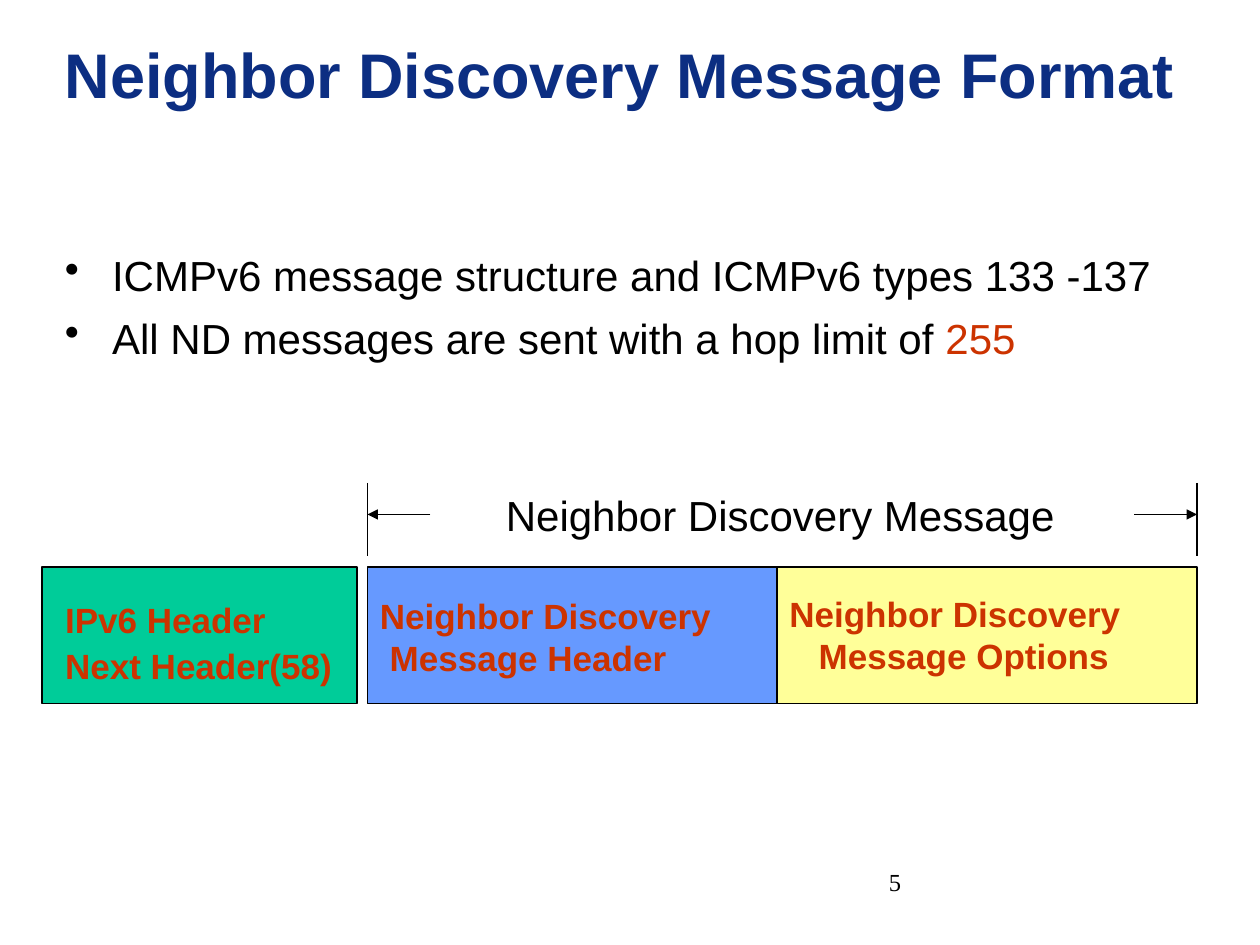
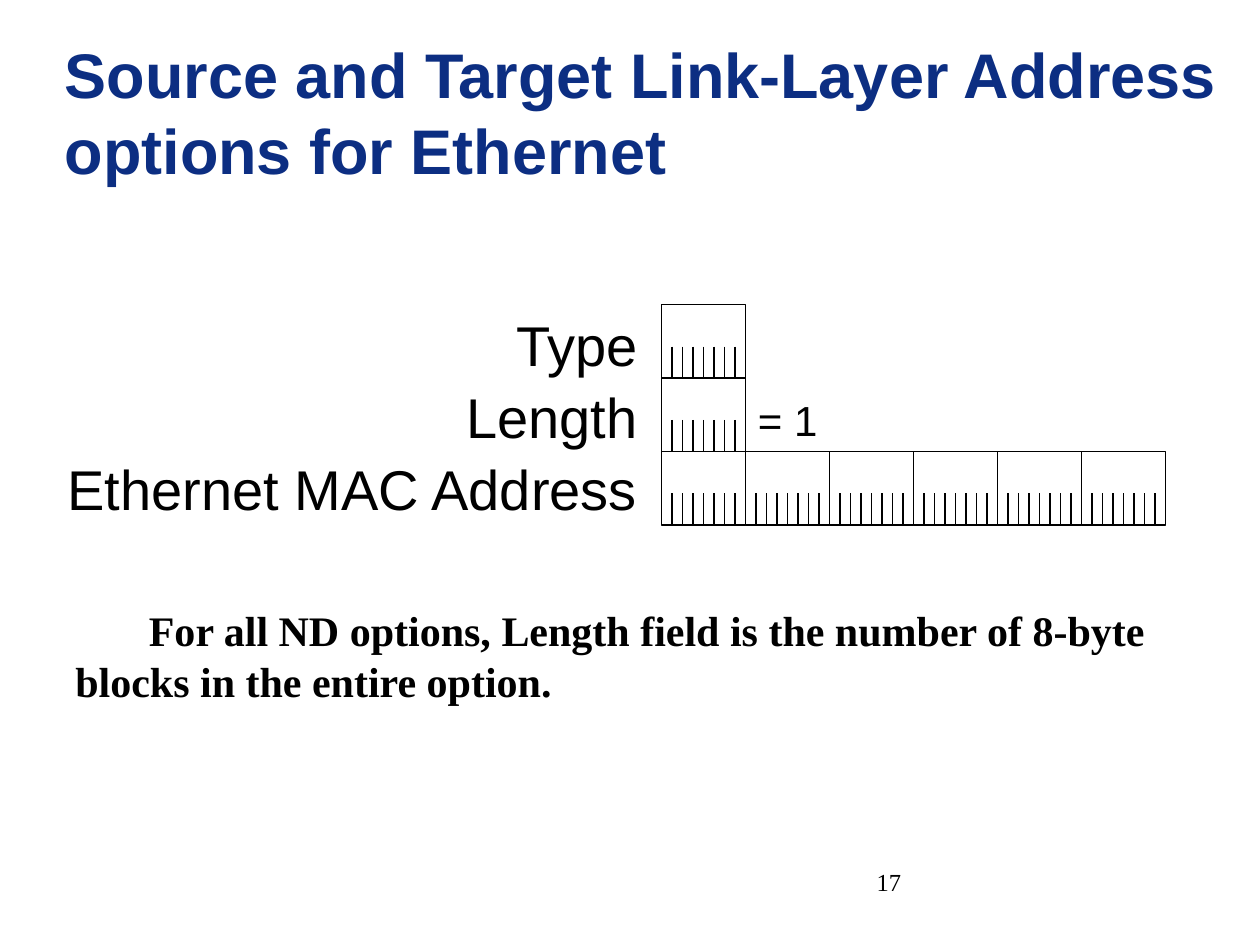
import pptx
import pptx.dml.color
import pptx.enum.shapes
import pptx.enum.text
import pptx.oxml
import pptx.oxml.ns
import pptx.util
from lxml import etree

Pt = pptx.util.Pt
RGB = pptx.dml.color.RGBColor
ALIGN = pptx.enum.text.PP_ALIGN
qn = pptx.oxml.ns.qn

BLACK = RGB(0x00, 0x00, 0x00)
WHITE = RGB(0xFF, 0xFF, 0xFF)
NAVY = RGB(0x0C, 0x2E, 0x82)
RUST = RGB(0xCC, 0x33, 0x00)
GREEN = RGB(0x00, 0xCC, 0x99)
BLUE = RGB(0x66, 0x99, 0xFF)
YELLOW = RGB(0xFF, 0xFF, 0x99)
SANS, SERIF = "Arial", "Times New Roman"
LINE_PITCH = 1.2
THIN = 0.75

FORMAT_TITLE, FORMAT_NUMBER = "Neighbor Discovery Message Format", "5"
FACTS = [
    ["ICMPv6 message structure and ICMPv6 types 133 -137"],
    ["All ND messages are sent with a hop limit of ", "255"],
]
MESSAGE = "Neighbor Discovery Message"
# lines, fill, left, width, left inset, top inset, second line indent, second line gap
PACKET_PARTS = [
    (["IPv6 Header", "Next Header(58)"], GREEN, 24, 180, 13.2, 18, 0, 2.4),
    (["Neighbor Discovery", "Message Options"], YELLOW, 444, 240, 7.2, 14.4, 16.7, 0),
    (["Neighbor Discovery", "Message Header"], BLUE, 210, 234, 7.2, 15.6, 5.6, 0),
]
PACKET_TOP, PACKET_HEIGHT = 324, 78
MESSAGE_LEFT, MESSAGE_RIGHT = 210, 684

OPTION_TITLE = "Source and Target Link-Layer Address options for Ethernet"
OPTION_NUMBER = "17"
FIELDS = [("Type", 1), ("Length", 1), ("Ethernet MAC Address", 6)]
LENGTH_VALUE = "= 1"
LENGTH_NOTE = ("For all ND options, Length field is the number of 8-byte "
               "blocks in the entire option.")
FIELDS_LEFT, FIELDS_TOP = 378, 174
BIT_WIDTH, BITS, OCTET_HEIGHT, TICK_HEIGHT = 6, 8, 42, 18


def write(frame, lines, size, color=BLACK, font=SANS, bold=False,
          align=ALIGN.LEFT, gap=0, fixed_pitch=True):
    """Fill a text frame with one paragraph per line; gap goes between them."""
    frame.word_wrap = True
    frame.vertical_anchor = pptx.enum.text.MSO_ANCHOR.TOP
    frame.text = "\n".join(lines)
    for index, paragraph in enumerate(frame.paragraphs):
        paragraph.alignment = align
        if fixed_pitch:
            paragraph.line_spacing = Pt(size * LINE_PITCH)
        if index:
            paragraph.space_before = Pt(gap)
        for run in paragraph.runs:
            run.font.size = Pt(size)
            run.font.name = font
            run.font.bold = bold
            run.font.color.rgb = color


def add_text(shapes, box, lines, size, **style):
    frame = shapes.add_textbox(*map(Pt, box)).text_frame
    write(frame, lines, size, **style)
    return frame


def indent(paragraph, left, first=0):
    properties = paragraph._p.get_or_add_pPr()
    properties.set("marL", str(Pt(left)))
    properties.set("indent", str(Pt(first)))
    return properties


def add_box(shapes, box, fill, line_width):
    rectangle = shapes.add_shape(
        pptx.enum.shapes.MSO_SHAPE.RECTANGLE, *map(Pt, box))
    rectangle.shadow.inherit = False
    rectangle.fill.solid()
    rectangle.fill.fore_color.rgb = fill
    rectangle.line.color.rgb = BLACK
    rectangle.line.width = Pt(line_width)
    return rectangle


def add_line(shapes, start, end, arrow=False):
    line = shapes.add_connector(
        pptx.enum.shapes.MSO_CONNECTOR.STRAIGHT, *map(Pt, start + end))
    line.line.color.rgb = BLACK
    line.line.width = Pt(THIN)
    if arrow:
        etree.SubElement(line.line._get_or_add_ln(), qn("a:tailEnd"),
                         type="triangle")
    etree.SubElement(line._element.spPr, qn("a:effectLst"))


def add_slide(deck, title, number):
    shapes = deck.slides.add_slide(deck.slide_layouts[6]).shapes
    heading = add_text(shapes, (30, 0, 690, 84), [title], 36, color=NAVY, bold=True)
    heading.margin_top = Pt(20.4)
    add_text(shapes, (372, 492, 150, 36), [number], 14, font=SERIF,
             align=ALIGN.RIGHT)
    return shapes


def add_facts(shapes):
    frame = add_text(shapes, (30, 139.2, 640, 70), ["".join(f) for f in FACTS], 24,
                     gap=7.2, fixed_pitch=False)
    for paragraph, (plain, *highlights) in zip(frame.paragraphs, FACTS):
        bullet = etree.SubElement(indent(paragraph, 27, -27), qn("a:buChar"))
        bullet.set("char", "•")
        paragraph.runs[0].text = plain
        for highlight in highlights:
            run = paragraph.add_run()
            run.text = highlight
            run.font.size = Pt(24)
            run.font.name = SANS
            run.font.color.rgb = RUST


def add_packet(shapes):
    for lines, fill, left, width, inset, top, shift, gap in PACKET_PARTS:
        part = add_box(shapes, (left, PACKET_TOP, width, PACKET_HEIGHT), fill, 1)
        frame = part.text_frame
        write(frame, lines, 20, color=RUST, bold=True, gap=gap)
        frame.margin_left, frame.margin_top = Pt(inset), Pt(top)
        indent(frame.paragraphs[1], shift)
    add_text(shapes, (282, 276, 402, 36), [MESSAGE], 24)
    for edge, inward in ((MESSAGE_LEFT, 36), (MESSAGE_RIGHT, -36)):
        add_line(shapes, (edge, 276), (edge, 318))
        add_line(shapes, (edge + inward, 294), (edge, 294), arrow=True)


def add_octet(shapes, left, top):
    """Draw one byte with a tick between neighbouring bits."""
    add_box(shapes, (left, top, BITS * BIT_WIDTH, OCTET_HEIGHT), WHITE, THIN)
    bottom = top + OCTET_HEIGHT
    for bit in range(1, BITS):
        x = left + bit * BIT_WIDTH
        add_line(shapes, (x, bottom - TICK_HEIGHT), (x, bottom))


def add_fields(shapes):
    add_text(shapes, (24, FIELDS_TOP, 347.5, 128), [name for name, _ in FIELDS], 32,
             align=ALIGN.RIGHT, gap=2.8)
    octet_width = BITS * BIT_WIDTH
    for row, (_, octets) in enumerate(FIELDS):
        for column in range(octets):
            add_octet(shapes, FIELDS_LEFT + column * octet_width,
                      FIELDS_TOP + row * OCTET_HEIGHT)
    add_text(shapes, (FIELDS_LEFT + octet_width, 222, 60, 36), [LENGTH_VALUE], 24)


def main():
    deck = pptx.Presentation()
    deck.slide_width, deck.slide_height = Pt(720), Pt(540)

    message_format = add_slide(deck, FORMAT_TITLE, FORMAT_NUMBER)
    add_facts(message_format)
    add_packet(message_format)

    address_option = add_slide(deck, OPTION_TITLE, OPTION_NUMBER)
    add_fields(address_option.add_group_shape().shapes)
    note = add_text(address_option, (36, 342, 637, 65), [LENGTH_NOTE], 24,
                    font=SERIF, bold=True)
    indent(note.paragraphs[0], 0, 42)

    deck.save("out.pptx")


if __name__ == "__main__":
    main()
